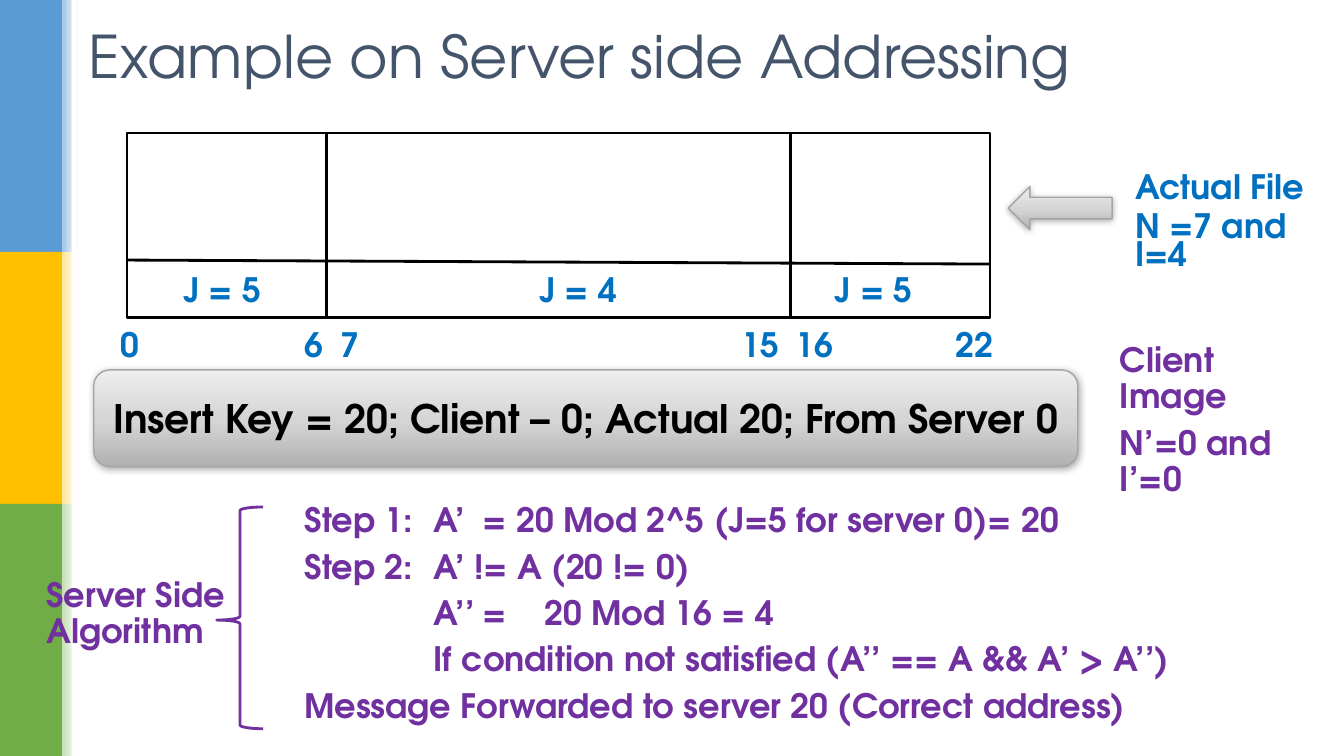
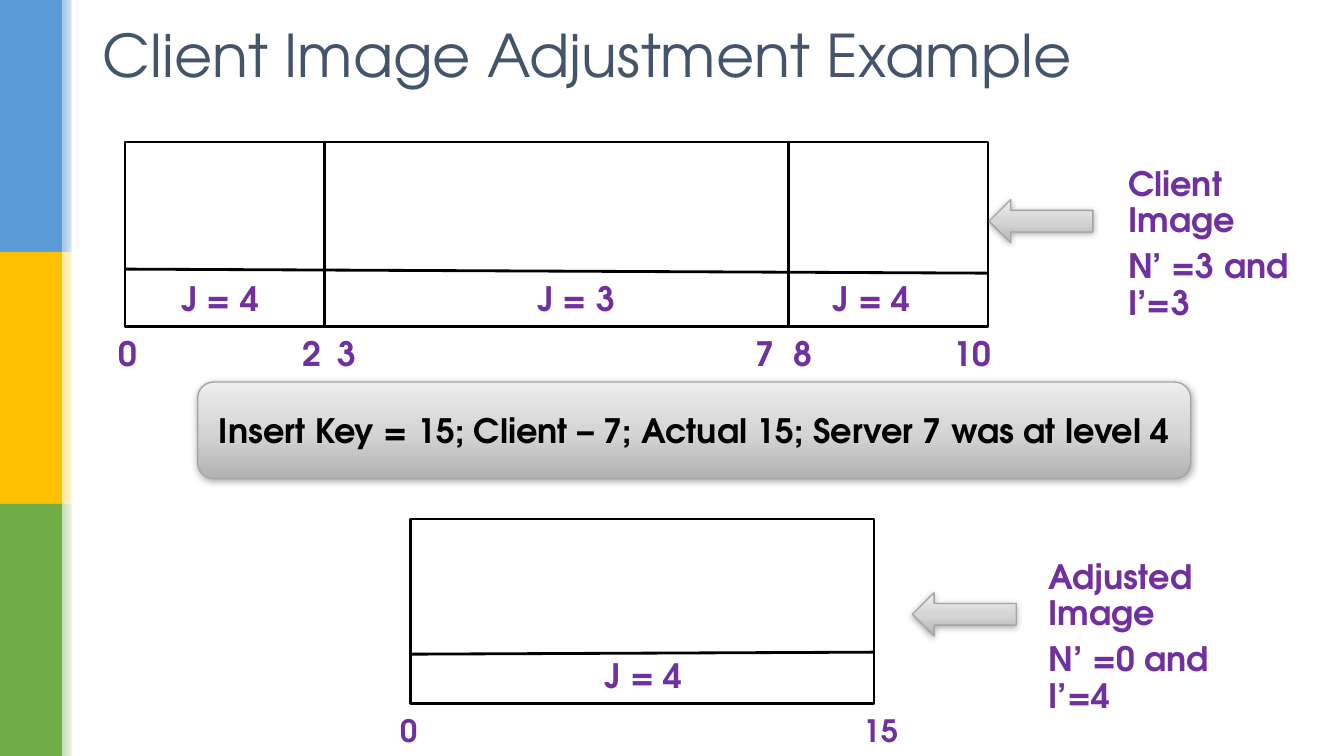
"""Build two slides on server side addressing and client image adjustment."""
from dataclasses import dataclass

from pptx import Presentation
from pptx.dml.color import RGBColor
from pptx.enum.shapes import MSO_CONNECTOR, MSO_SHAPE as SHAPE
from pptx.enum.text import MSO_ANCHOR as ANCHOR, MSO_AUTO_SIZE as AUTOSIZE, PP_ALIGN as ALIGN
from pptx.oxml import parse_xml
from pptx.oxml.ns import nsdecls, qn
from pptx.oxml.xmlchemy import OxmlElement
from pptx.util import Inches, Pt


@dataclass(frozen=True)
class Theme:
    font: str = "TeX Gyre Adventor"
    title: str = "44546A"
    blue: str = "0070C0"
    purple: str = "7030A0"
    black: str = "000000"
    white: str = "FFFFFF"
    metal_line: str = "A5A5A5"
    metal: tuple = ((0, "B1B1B1"), (48, "D5D5D5"), (100, "EDEDED"))
    bands: tuple = (("5B9BD5", "9DC3E6"), ("FFC000", "FFE699"), ("70AD47", "C5E0B4"))
    title_size: float = 42
    banner_size: float = 28
    text_size: float = 24
    small_size: float = 22


THEME = Theme()


def rgb(color):
    return RGBColor.from_string(color)


def write(tf, text, size=THEME.text_size, color=THEME.purple, bold=True,
          align=ALIGN.LEFT, anchor=ANCHOR.TOP, spacing=0.9, before=0.3, tabs=()):
    tf.word_wrap = True
    tf.auto_size = AUTOSIZE.NONE
    tf.vertical_anchor = anchor
    for i, line in enumerate(text.split("\n")):
        p = tf.paragraphs[0] if i == 0 else tf.add_paragraph()
        p.alignment = align
        p.line_spacing = spacing
        p.space_before = Pt(round(size * before, 1))
        if tabs:
            tab_list = OxmlElement("a:tabLst")
            for pos in tabs:
                tab = OxmlElement("a:tab")
                tab.set("pos", str(Inches(pos)))
                tab.set("algn", "l")
                tab_list.append(tab)
            p._p.get_or_add_pPr().append(tab_list)
        r = p.add_run()
        r.text = line
        r.font.name = THEME.font
        r.font.size = Pt(size)
        r.font.bold = bold
        r.font.color.rgb = rgb(color)


def fill_gradient(sp, stops, angle):
    gs = "".join(f'<a:gs pos="{pos * 1000}"><a:srgbClr val="{color}"/></a:gs>'
                 for pos, color in stops)
    gradient = parse_xml(f'<a:gradFill {nsdecls("a")} rotWithShape="1"><a:gsLst>{gs}</a:gsLst>'
                         f'<a:lin ang="{angle * 60000}" scaled="0"/></a:gradFill>')
    sp.fill.background()
    spPr = sp.element.spPr
    spPr.replace(spPr.find(qn("a:noFill")), gradient)


def cast_shadow(sp):
    shadow = parse_xml(
        f'<a:effectLst {nsdecls("a")}><a:outerShdw blurRad="{Pt(5)}" dist="{Pt(1)}" '
        f'dir="5400000" algn="ctr" rotWithShape="0"><a:srgbClr val="{THEME.black}">'
        '<a:alpha val="32000"/></a:srgbClr></a:outerShdw></a:effectLst>')
    spPr = sp.element.spPr
    spPr.replace(spPr.find(qn("a:effectLst")), shadow)


class Deck:
    def __init__(self):
        self.prs = Presentation()
        self.prs.slide_width, self.prs.slide_height = Inches(13.33), Inches(7.5)
        self.layout = self.prs.slide_layouts[5]
        for ph in list(self.layout.placeholders)[1:]:
            ph.element.getparent().remove(ph.element)
        self.slide = None

    def add_slide(self, title, x, y, w):
        first = self.slide is None
        self.slide = self.prs.slides.add_slide(self.layout)
        if first:
            self.side_bands()
        sp = self.slide.shapes.title
        sp.left, sp.top, sp.width, sp.height = (Inches(v) for v in (x, y, w, 0.86))
        write(sp.text_frame, title, THEME.title_size, THEME.title, bold=False,
              anchor=ANCHOR.MIDDLE, before=0)

    def side_bands(self):
        parts = []
        for i, (color, pale) in enumerate(THEME.bands):
            parts.append(self.shape(SHAPE.RECTANGLE, 0, i * 2.5, 0.62, 2.5, fill=color))
            edge = self.shape(SHAPE.RECTANGLE, 0.62, i * 2.5, 0.16, 2.5)
            fill_gradient(edge, ((0, pale), (100, THEME.white)), 0)
            parts.append(edge)
        parts.append(self.shape(SHAPE.RECTANGLE, 0.71, 0, 0.05, 7.5, fill=THEME.white))
        for sp in parts:
            self.layout.shapes.element.append(sp.element)

    def shape(self, kind, x, y, w, h, fill=None, line=None, weight=2):
        sp = self.slide.shapes.add_shape(kind, Inches(x), Inches(y), Inches(w), Inches(h))
        sp.shadow.inherit = False
        if fill:
            sp.fill.solid()
            sp.fill.fore_color.rgb = rgb(fill)
        else:
            sp.fill.background()
        if line:
            sp.line.color.rgb = rgb(line)
            sp.line.width = Pt(weight)
        else:
            sp.line.fill.background()
        return sp

    def metal(self, kind, x, y, w, h):
        sp = self.shape(kind, x, y, w, h, line=THEME.metal_line, weight=1)
        fill_gradient(sp, THEME.metal, 270)
        cast_shadow(sp)
        return sp

    def arrow(self, x, y):
        self.metal(SHAPE.LEFT_ARROW, x, y, 1.03, 0.43)

    def banner(self, text, x, y, w, size):
        sp = self.metal(SHAPE.ROUNDED_RECTANGLE, x, y, w, 0.96)
        write(sp.text_frame, text, size, THEME.black, align=ALIGN.CENTER,
              anchor=ANCHOR.MIDDLE, spacing=1.0, before=0)

    def brace(self, x, y, w, h):
        sp = self.shape(SHAPE.LEFT_BRACE, x, y, w, h, line=THEME.purple)
        sp.adjustments[0], sp.adjustments[1] = 0.08, 0.51

    def text(self, text, x, y, w, h=0.48, **style):
        sp = self.slide.shapes.add_textbox(Inches(x), Inches(y), Inches(w), Inches(h))
        write(sp.text_frame, text, **style)

    def rule(self, x1, y1, x2, y2):
        line = self.slide.shapes.add_connector(
            MSO_CONNECTOR.STRAIGHT, Inches(x1), Inches(y1), Inches(x2), Inches(y2))
        line.line.color.rgb = rgb(THEME.black)
        line.line.width = Pt(2)
        line.element.spPr.append(OxmlElement("a:effectLst"))

    def file_map(self, x, y, cells, ticks, rule=(1.26, 1.3), tick_dy=1.89,
                 color=THEME.purple, **tick_style):
        left = x
        for width, label, dx in cells:
            self.shape(SHAPE.RECTANGLE, left, y, width, 1.83, line=THEME.black)
            self.text(label, left + dx, y + 1.34, 1.31, color=color)
            left += width
        self.rule(x, y + rule[0], left, y + rule[1])
        for label, dx in ticks:
            self.text(label, x + dx, y + tick_dy, 0.6, color=color, **tick_style)


def three_cells(first, middle, last):
    return (1.98, first, 0.46), (4.6, middle, 2.01), (1.98, last, 0.34)


def addressing_slide(deck):
    deck.add_slide("Example on Server side Addressing", 0.78, 0.16, 12.53)
    deck.file_map(1.26, 1.32, three_cells("J = 5", "J = 4", "J = 5"),
                  (("0", -0.16), ("6", 1.66), ("7", 2.02), ("15", 6), ("16", 6.53),
                   ("22", 8.12)), color=THEME.blue)
    deck.arrow(10, 1.85)
    deck.text("Actual File\nN =7 and I=4", 11.16, 1.71, 2.02, 1.06,
              color=THEME.blue, spacing=0.7)
    deck.banner("Insert Key = 20; Client – 0; Actual 20; From Server 0",
                0.93, 3.67, 9.76, THEME.banner_size)
    deck.text("Client Image\nN’=0 and I’=0", 11.01, 3.36, 2.02, 1.85)
    deck.text("Server Side Algorithm", 0.36, 5.69, 2.02, 1.06)
    deck.brace(2.15, 5.03, 0.46, 2.2)
    deck.text("Step 1:\tA’\t= 20 Mod 2^5 (J=5 for server 0)= 20\n"
              "Step 2:\tA’ != A (20 != 0)\n"
              "\tA’’\t=\t20 Mod 16 = 4\n"
              "\tIf condition not satisfied (A’’ == A && A’ > A’’)\n"
              "Message Forwarded to server 20 (Correct address)",
              2.92, 4.95, 9.24, 2.37, tabs=(1.28, 1.77, 1.89, 2.38))


def adjustment_slide(deck):
    deck.add_slide("Client Image Adjustment Example", 0.92, 0.15, 12.11)
    deck.file_map(1.24, 1.41, three_cells("J = 4", "J = 3", "J = 4"),
                  (("0", -0.16), ("2", 1.66), ("3", 2.01), ("7", 6.15), ("8", 6.53),
                   ("10", 8.12)))
    deck.arrow(9.81, 1.98)
    deck.text("Client Image\nN’ =3 and I’=3", 11.09, 1.61, 2.02, 1.42)
    deck.banner("Insert Key = 15; Client – 7; Actual 15; Server 7 was at level 4",
                1.96, 3.79, 9.85, THEME.text_size)
    deck.file_map(4.07, 5.15, ((4.6, "J = 4", 1.83),), (("0", -0.2), ("15", 4.4)),
                  rule=(1.34, 1.32), tick_dy=1.96, size=THEME.small_size, spacing=0.7)
    deck.arrow(9.05, 5.88)
    deck.text("Adjusted Image\nN’ =0 and I’=4", 10.3, 5.51, 2.02, 1.6)


def main():
    deck = Deck()
    addressing_slide(deck)
    adjustment_slide(deck)
    deck.prs.save("out.pptx")


if __name__ == "__main__":
    main()
